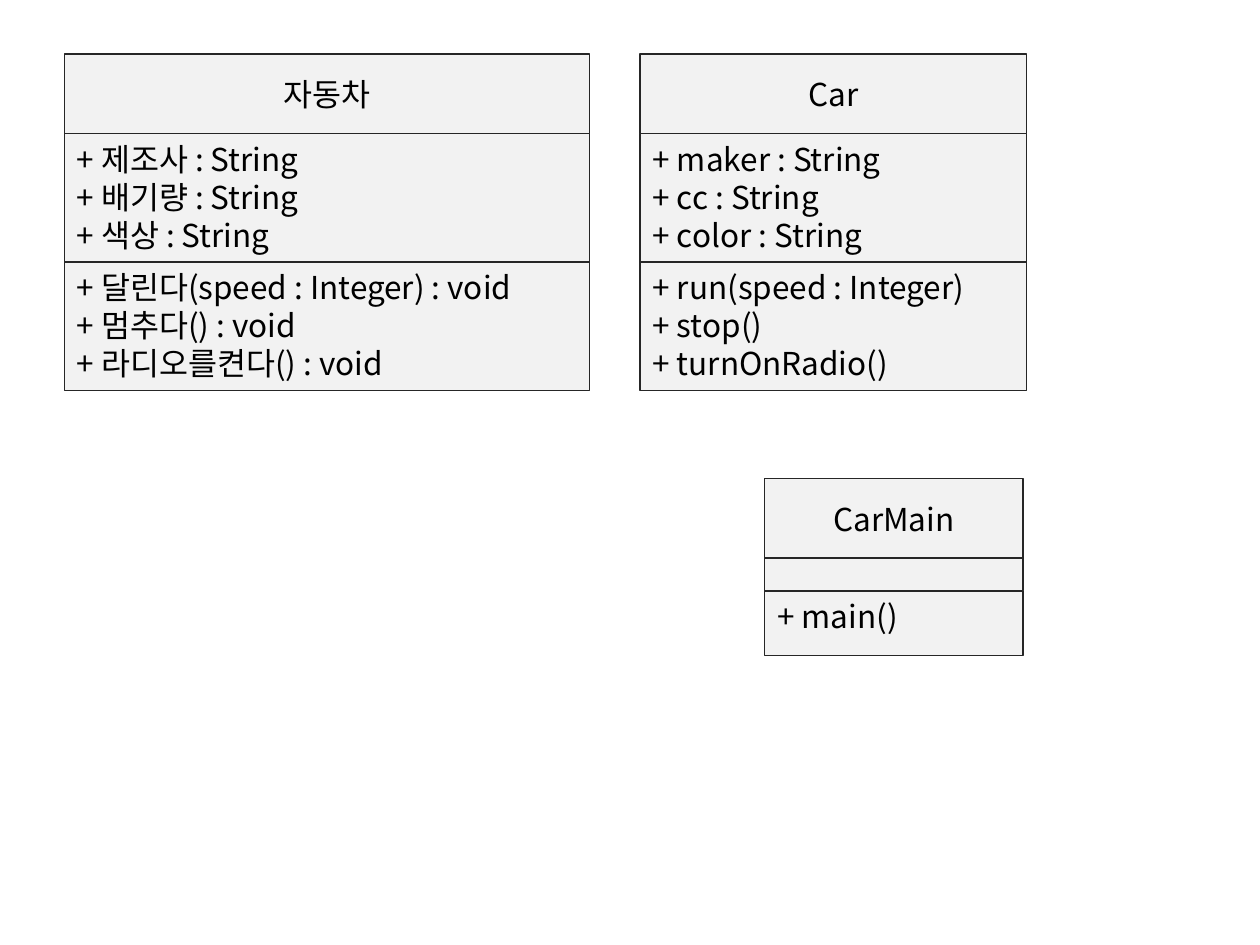
"""Draw three UML class boxes for a car example on one slide."""
from dataclasses import dataclass

from lxml import etree
from pptx import Presentation
from pptx.dml.color import RGBColor
from pptx.enum import shapes, text
from pptx.oxml import ns
from pptx.util import Inches, Pt


@dataclass(frozen=True)
class Theme:
    font: str = "Noto Sans CJK KR"
    size: float = 18
    pitch: float = 21.7
    line_width: float = 0.75
    ink: RGBColor = RGBColor(0x00, 0x00, 0x00)
    fill: RGBColor = RGBColor(0xF2, 0xF2, 0xF2)
    line: RGBColor = RGBColor(0x26, 0x26, 0x26)


@dataclass(frozen=True)
class UmlClass:
    name: str
    left: float
    top: float
    width: float
    attributes: tuple[str, ...]
    operations: tuple[str, ...]
    attributes_height: float = 1.02
    operations_height: float = 1.02


THEME = Theme()
NAME_HEIGHT = 0.63

CLASSES = (
    UmlClass("자동차", 0.51, 0.43, 4.17,
             ("제조사 : String", "배기량 : String", "색상 : String"),
             ("달린다(speed : Integer) : void", "멈추다() : void", "라디오를켠다() : void")),
    UmlClass("Car", 5.08, 0.43, 3.07,
             ("maker : String", "cc : String", "color : String"),
             ("run(speed : Integer)", "stop()", "turnOnRadio()")),
    UmlClass("CarMain", 6.07, 3.8, 2.05, (), ("main()",), 0.26, 0.51),
)


def style_text(frame, alignment: text.PP_ALIGN) -> None:
    for para in frame.paragraphs:
        para.alignment = alignment
        para.line_spacing = Pt(THEME.pitch)
        for span in para.runs:
            span.font.name = THEME.font
            span.font.size = Pt(THEME.size)
            span.font.color.rgb = THEME.ink
            east_asian = etree.SubElement(span.font._element, ns.qn("a:ea"))
            east_asian.set("typeface", THEME.font)


def draw_compartment(group, uml: UmlClass, top: float, height: float,
                     content: str, is_name: bool = False) -> None:
    box = group.shapes.add_shape(shapes.MSO_SHAPE.RECTANGLE, Inches(uml.left),
                                 Inches(top), Inches(uml.width), Inches(height))
    box.shadow.inherit = False
    box.fill.solid()
    box.fill.fore_color.rgb = THEME.fill
    box.line.color.rgb = THEME.line
    box.line.width = Pt(THEME.line_width)
    frame = box.text_frame
    frame.word_wrap = True
    frame.vertical_anchor = text.MSO_ANCHOR.MIDDLE if is_name else text.MSO_ANCHOR.TOP
    frame.text = content
    style_text(frame, text.PP_ALIGN.CENTER if is_name else text.PP_ALIGN.LEFT)


def public_members(members: tuple[str, ...]) -> str:
    return "\n".join(f"+ {member}" for member in members)


def draw_class(page, uml: UmlClass) -> None:
    group = page.shapes.add_group_shape()
    attributes_top = uml.top + NAME_HEIGHT
    operations_top = attributes_top + uml.attributes_height
    draw_compartment(group, uml, uml.top, NAME_HEIGHT, uml.name, is_name=True)
    draw_compartment(group, uml, attributes_top, uml.attributes_height,
                     public_members(uml.attributes))
    draw_compartment(group, uml, operations_top, uml.operations_height,
                     public_members(uml.operations))


def main() -> None:
    deck = Presentation()
    deck.slide_width, deck.slide_height = Inches(10), Inches(7.5)
    page = deck.slides.add_slide(deck.slide_layouts[6])
    for uml in CLASSES:
        draw_class(page, uml)
    deck.save("out.pptx")


if __name__ == "__main__":
    main()
